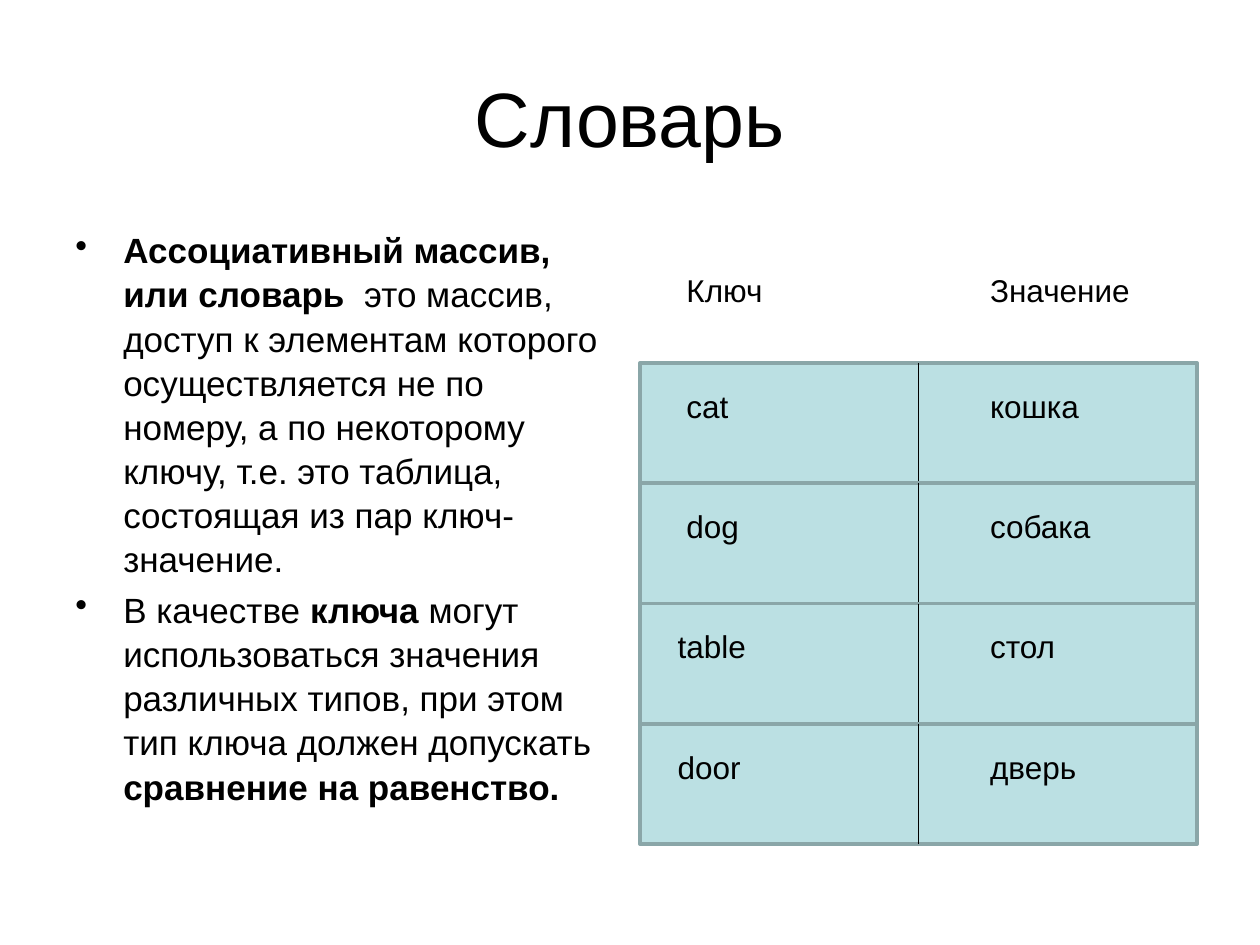
"""Builds a slide explaining the dictionary type with a key and value grid."""
from lxml import etree
from pptx import Presentation
from pptx.dml.color import RGBColor
from pptx.enum.shapes import MSO_CONNECTOR, MSO_SHAPE
from pptx.enum.text import MSO_ANCHOR, PP_ALIGN
from pptx.oxml.ns import qn
from pptx.util import Inches, Pt

STRAIGHT = MSO_CONNECTOR.STRAIGHT
RECTANGLE = MSO_SHAPE.RECTANGLE
MIDDLE = MSO_ANCHOR.MIDDLE
CENTER = PP_ALIGN.CENTER

BLACK = RGBColor(0x00, 0x00, 0x00)
CELL_FILL = RGBColor(0xBB, 0xE0, 0xE3)
CELL_BORDER = RGBColor(0x8A, 0xA6, 0xA8)
FONT = "Arial"

TITLE = "Словарь"
DEFINITION = [
    [("Ассоциативный массив, или словарь ", True),
     (" это массив, доступ к элементам которого осуществляется не по номеру, "
      "а по некоторому ключу, т.е. это таблица, состоящая из пар ключ-значение.", False)],
    [("В качестве ", False), ("ключа", True),
     (" могут использоваться значения различных типов, при этом тип ключа "
      "должен допускать ", False),
     ("сравнение на равенство.", True)],
]
HEADINGS = ("Ключ", "Значение")
ENTRIES = [
    ("cat", "кошка", 5.35),
    ("dog", "собака", 5.35),
    ("table", "стол", 5.28),
    ("door", "дверь", 5.28),
]

GRID_LEFT, GRID_TOP, GRID_WIDTH, ROW_HEIGHT = 5.08, 2.88, 4.42, 0.955
KEY_LEFT, VALUE_LEFT = 5.35, 7.76
LABEL_WIDTH, LABEL_HEIGHT, LABEL_OFFSET = 1.47, 0.7, 0.14
HEADING_TOP, HEADING_HEIGHT = 2.1, 0.4
INDENT = Inches(0.38)


def style(paragraph, size):
    paragraph.font.name = FONT
    paragraph.font.size = Pt(size)
    paragraph.font.color.rgb = BLACK


def add_frame(left, top, width, height):
    box = slide.shapes.add_textbox(
        Inches(left), Inches(top), Inches(width), Inches(height))
    box.text_frame.word_wrap = True
    return box.text_frame


def add_label(text, left, top, height=LABEL_HEIGHT):
    paragraph = add_frame(left, top, LABEL_WIDTH, height).paragraphs[0]
    paragraph.text = text
    style(paragraph, 18)


def add_bullet(paragraph):
    properties = paragraph._p.get_or_add_pPr()
    properties.set("marL", str(INDENT))
    properties.set("indent", str(-INDENT))
    bullet = etree.Element(qn("a:buChar"), char="•")
    properties.find(qn("a:defRPr")).addprevious(bullet)


def add_row(top):
    row = slide.shapes.add_shape(
        RECTANGLE, Inches(GRID_LEFT), Inches(top),
        Inches(GRID_WIDTH), Inches(ROW_HEIGHT))
    row.shadow.inherit = False
    row.fill.solid()
    row.fill.fore_color.rgb = CELL_FILL
    row.line.color.rgb = CELL_BORDER
    row.line.width = Pt(2)
    middle = Inches(GRID_LEFT + GRID_WIDTH / 2)
    divider = slide.shapes.add_connector(
        STRAIGHT, middle, Inches(top), middle, Inches(top + ROW_HEIGHT))
    divider.line.color.rgb = BLACK
    divider.line.width = Pt(0.75)
    etree.SubElement(divider._element.spPr, qn("a:effectLst"))


presentation = Presentation()
presentation.slide_width = Inches(10)
presentation.slide_height = Inches(7.5)
slide = presentation.slides.add_slide(presentation.slide_layouts[6])

title = add_frame(0.5, 0.3, 9, 1.25)
title.vertical_anchor = MIDDLE
title.paragraphs[0].text = TITLE
title.paragraphs[0].alignment = CENTER
style(title.paragraphs[0], 44)

definition = add_frame(0.5, 1.75, 4.42, 4.95)
for index, parts in enumerate(DEFINITION):
    point = definition.add_paragraph() if index else definition.paragraphs[0]
    point.line_spacing = 1.05
    point.space_before = Pt(4)
    style(point, 20)
    add_bullet(point)
    for text, bold in parts:
        run = point.add_run()
        run.text = text
        run.font.bold = bold

for heading, left in zip(HEADINGS, (KEY_LEFT, VALUE_LEFT)):
    add_label(heading, left, HEADING_TOP, HEADING_HEIGHT)

for index, (key, value, key_left) in enumerate(ENTRIES):
    row_top = GRID_TOP + index * ROW_HEIGHT
    add_row(row_top)
    add_label(key, key_left, row_top + LABEL_OFFSET)
    add_label(value, VALUE_LEFT, row_top + LABEL_OFFSET)

presentation.save("out.pptx")
